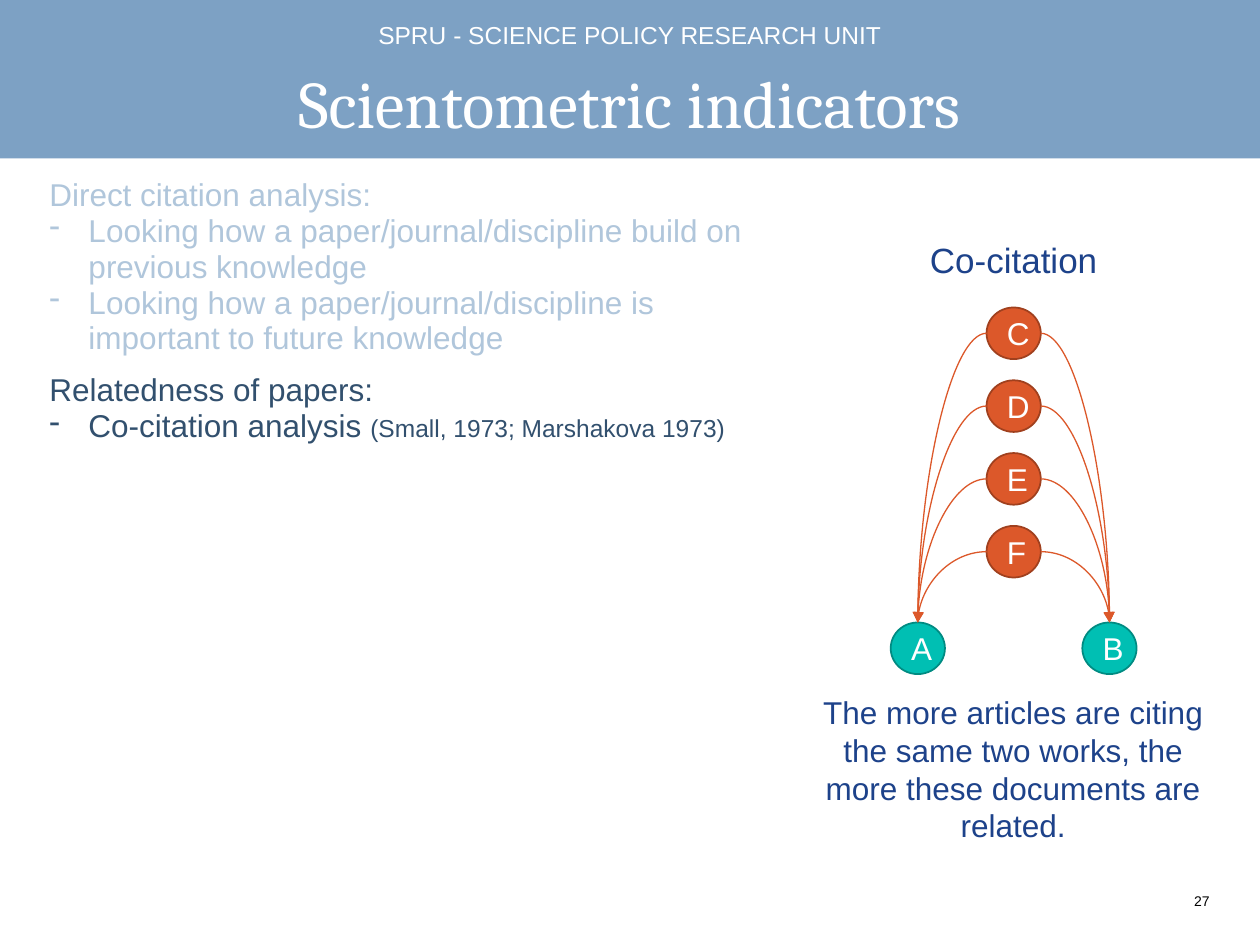
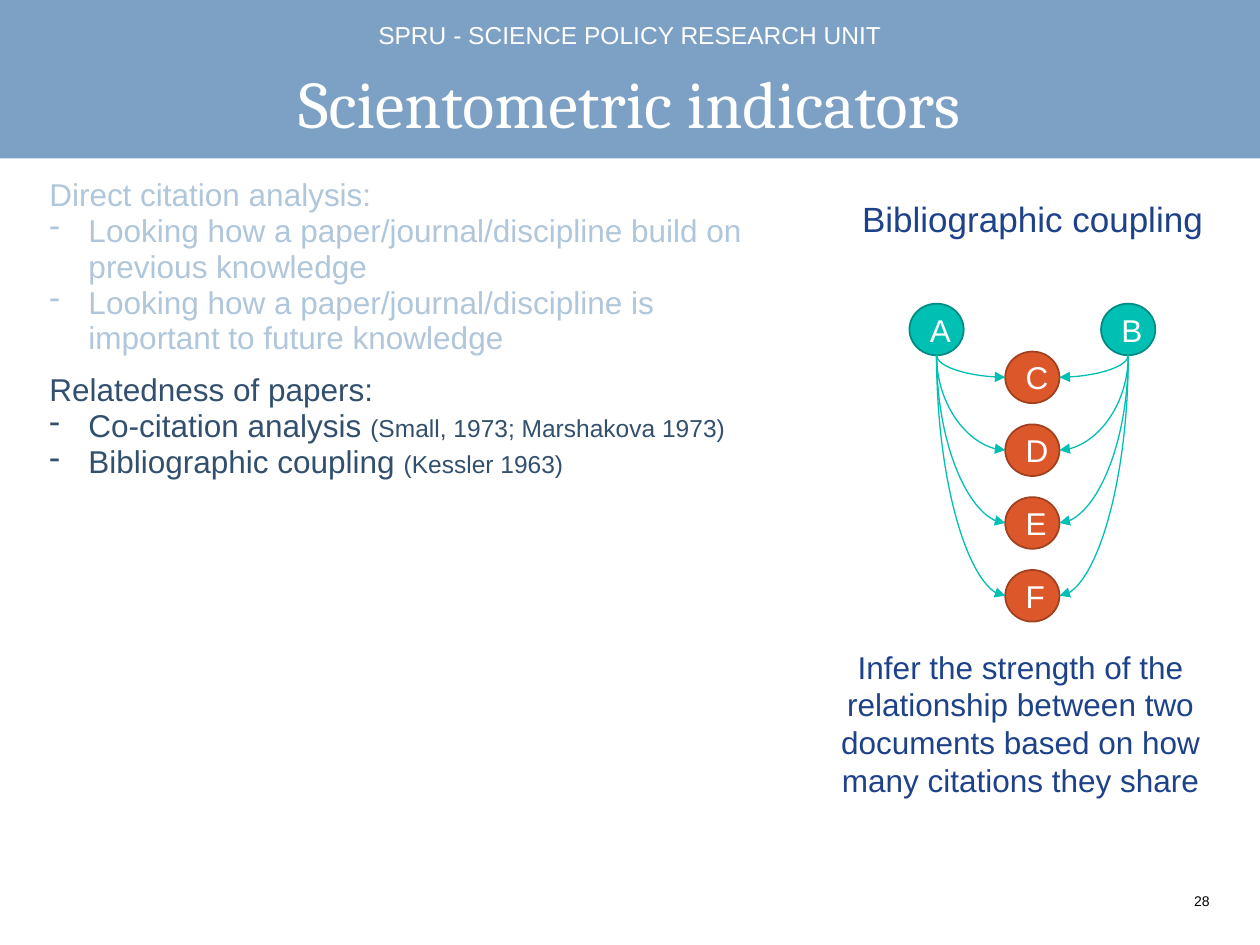
from lxml.etree import SubElement
from pptx import Presentation
from pptx.dml.color import RGBColor
from pptx.enum.shapes import MSO_CONNECTOR as CONNECTOR, MSO_SHAPE as SHAPE
from pptx.enum.text import MSO_ANCHOR as ANCHOR, PP_ALIGN as ALIGN
from pptx.oxml.ns import qn
from pptx.util import Pt

COLORS = {
    "band": "7DA1C4", "white": "FFFFFF", "black": "000000",
    "dimmed": "B0C6DB", "body": "32506E", "navy": "1D428A",
    "teal": "00BFB3", "teal_edge": "008B82",
    "orange": "DC582A", "orange_edge": "A0401E",
}
SLIDE_W, SLIDE_H = 720, 540
NODE_W, NODE_H = 31, 29.5
COLUMN_STEP, ROW_STEP = 54.75, 41.6
BULLET_INDENT = 22.4

# Each point is a text followed by an optional citation
DIRECT_POINTS = [
    ("Looking how a paper/journal/discipline build on previous knowledge",),
    ("Looking how a paper/journal/discipline is important to future knowledge",),
]
CO_CITATION = ("Co-citation analysis ", "(Small, 1973; Marshakova 1973)")
COUPLING = ("Bibliographic coupling ", "(Kessler 1963)")


def rgb(name):
    return RGBColor.from_string(COLORS[name])


def add_run(paragraph, text, size, color, font="Arial"):
    run = paragraph.add_run()
    run.text = text
    run.font.size = Pt(size)
    run.font.name = font
    run.font.color.rgb = rgb(color)


def add_frame(slide, box, anchor=ANCHOR.TOP):
    """Add a wrapping text box without margins and return its text frame."""
    frame = slide.shapes.add_textbox(*map(Pt, box)).text_frame
    frame.word_wrap = True
    frame.vertical_anchor = anchor
    frame.margin_left = frame.margin_right = 0
    frame.margin_top = frame.margin_bottom = 0
    return frame


def add_label(slide, box, text, size, color, font="Arial",
              align=ALIGN.CENTER, anchor=ANCHOR.TOP, spacing=1.0):
    paragraph = add_frame(slide, box, anchor).paragraphs[0]
    paragraph.alignment = align
    paragraph.line_spacing = spacing
    add_run(paragraph, text, size, color, font)


def add_filled(slide, preset, box, fill, edge=None):
    shape = slide.shapes.add_shape(preset, *map(Pt, box))
    shape.shadow.inherit = False
    shape.fill.solid()
    shape.fill.fore_color.rgb = rgb(fill)
    if edge:
        shape.line.color.rgb = rgb(edge)
        shape.line.width = Pt(1)
    else:
        shape.line.fill.background()
    return shape


def add_page_frame(slide, number):
    """Draw the header band, unit name, title and page number."""
    add_label(slide, (663, 507.6, 28.2, 14.4), str(number), 8, "black",
              align=ALIGN.RIGHT, anchor=ANCHOR.MIDDLE)
    add_filled(slide, SHAPE.RECTANGLE, (0, 0, SLIDE_W, 90.6), "band")
    add_label(slide, (90, 11.5, 540, 21.6),
              "SPRU - SCIENCE POLICY RESEARCH UNIT", 14, "white")
    add_label(slide, (28.2, 33.1, 663, 56.2), "Scientometric indicators", 38,
              "white", font="Cambria", anchor=ANCHOR.MIDDLE, spacing=0.9)


def make_bullet(paragraph, color):
    properties = paragraph._p.get_or_add_pPr()
    properties.set("marL", str(Pt(BULLET_INDENT)))
    properties.set("indent", str(-Pt(BULLET_INDENT)))
    bullet_color = SubElement(properties, qn("a:buClr"))
    SubElement(bullet_color, qn("a:srgbClr"), val=COLORS[color])
    SubElement(properties, qn("a:buChar"), char="-")


def add_outline(slide, box, sections):
    """Write sections of (heading, points, colour) into one text box."""
    frame = add_frame(slide, box)
    for index, (heading, points, color) in enumerate(sections):
        paragraph = frame.add_paragraph() if index else frame.paragraphs[0]
        paragraph.line_spacing = 0.95
        if index:
            paragraph.space_before = Pt(9)
        add_run(paragraph, heading, 18, color)
        for point in points:
            paragraph = frame.add_paragraph()
            make_bullet(paragraph, color)
            paragraph.line_spacing = 0.95
            for text, size in zip(point, (18, 14)):
                add_run(paragraph, text, size, color)


def add_node(slide, letter, left, top, color):
    node = add_filled(slide, SHAPE.OVAL, (left, top, NODE_W, NODE_H),
                      color, color + "_edge")
    frame = node.text_frame
    frame.word_wrap = True
    frame.vertical_anchor = ANCHOR.MIDDLE
    frame.paragraphs[0].alignment = ALIGN.CENTER
    add_run(frame.paragraphs[0], letter, 18, "white")
    return node


def add_citation(slide, chain_point, pair_point, color, arrow_end):
    """Curve from a chain node's side to a pair node's top or bottom."""
    link = slide.shapes.add_connector(CONNECTOR.CURVE, *chain_point, *pair_point)
    link.line.color.rgb = rgb(color)
    link.line.width = Pt(0.75)
    properties = link.element.spPr
    properties.find(qn("a:prstGeom")).set("prst", "curvedConnector2")
    SubElement(properties.find(qn("a:ln")), qn("a:" + arrow_end), type="triangle")
    SubElement(properties, qn("a:effectLst"))


def add_citation_network(slide, left, top, pair_offset, chain_offset):
    """Draw works A and B, the chain C to F between them, and all citations."""
    pair_below = pair_offset > chain_offset
    pair = [add_node(slide, letter, left + column * COLUMN_STEP,
                     top + pair_offset, "teal")
            for letter, column in (("A", 0), ("B", 2))]
    chain = [add_node(slide, letter, left + COLUMN_STEP,
                      top + chain_offset + row * ROW_STEP, "orange")
             for row, letter in enumerate("CDEF")]
    color, arrow_end = ("orange", "tailEnd") if pair_below else ("teal", "headEnd")
    for work in chain:
        middle = work.top + work.height // 2
        sides = (work.left, work.left + work.width)
        for partner, side in zip(pair, sides):
            edge = partner.top if pair_below else partner.top + partner.height
            center = partner.left + partner.width // 2
            add_citation(slide, (side, middle), (center, edge), color, arrow_end)


def add_indicator_slide(deck, number, related_points, network,
                        heading, heading_box, caption, caption_box):
    slide = deck.slides.add_slide(deck.slide_layouts[6])
    add_page_frame(slide, number)
    add_outline(slide, (28.2, 101.5, 407.5, 360), [
        ("Direct citation analysis:", DIRECT_POINTS, "dimmed"),
        ("Relatedness of papers:", related_points, "body"),
    ])
    add_citation_network(slide, *network)
    add_label(slide, heading_box, heading, 20, "navy")
    add_label(slide, caption_box, caption, 18, "navy")


def main():
    deck = Presentation()
    deck.slide_width, deck.slide_height = Pt(SLIDE_W), Pt(SLIDE_H)
    add_indicator_slide(
        deck, 27, [CO_CITATION], (509, 175.7, 180, 0),
        "Co-citation", (504, 136.1, 150.5, 28.8),
        "The more articles are citing the same two works, "
        "the more these documents are related.", (459.4, 396, 239, 82.8))
    add_indicator_slide(
        deck, 28, [CO_CITATION, COUPLING], (519.7, 173.5, 0, 27.4),
        "Bibliographic coupling", (481.7, 113, 216.7, 28.8),
        "Infer the strength of the relationship between two documents "
        "based on how many citations they share", (468, 370.1, 230.4, 79.2))
    deck.save("out.pptx")


if __name__ == "__main__":
    main()
